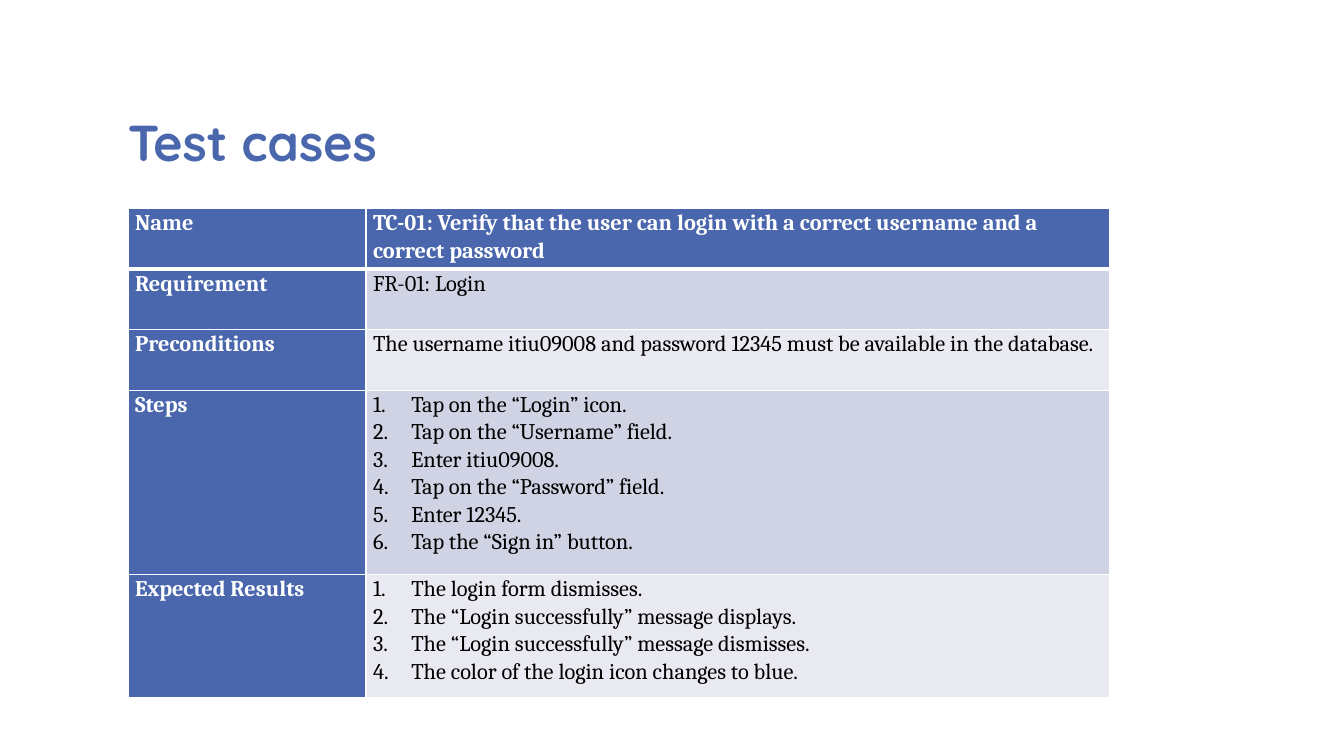
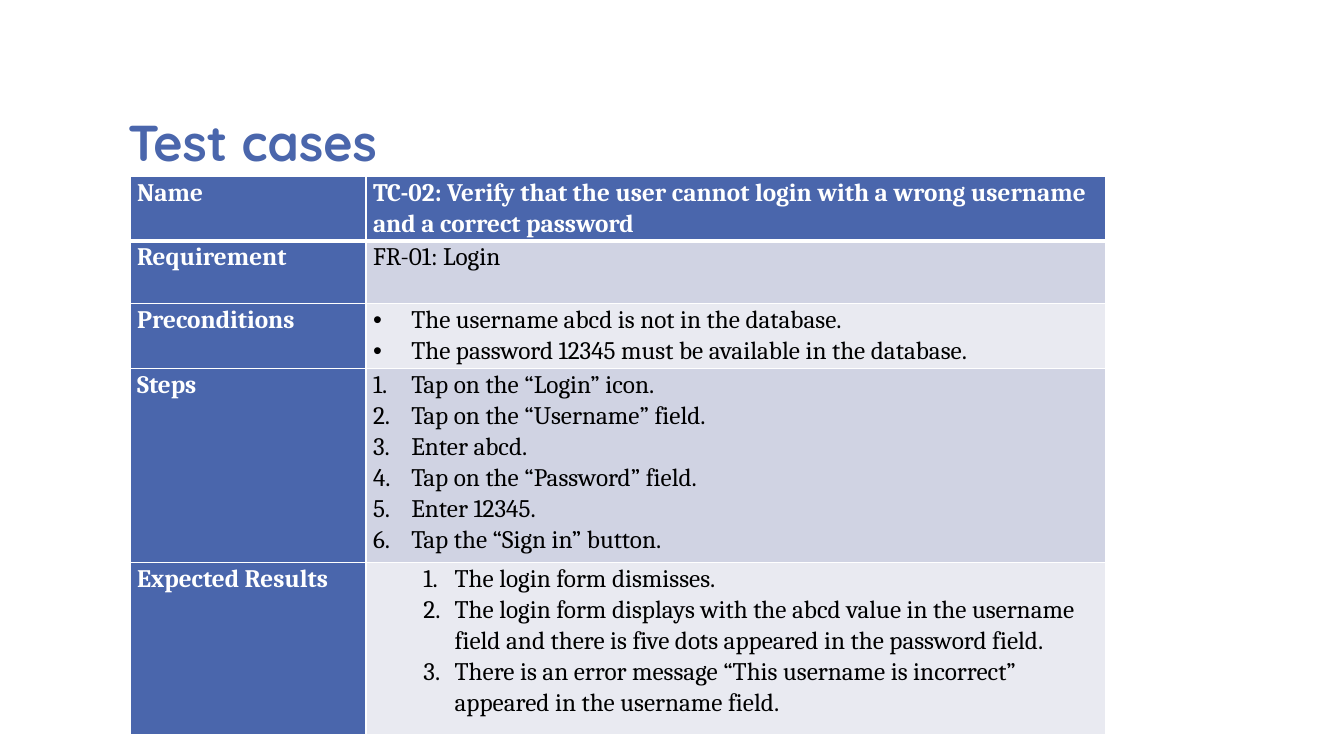
from dataclasses import dataclass

from lxml.etree import SubElement
from pptx import Presentation
from pptx.dml.color import RGBColor as RGB
from pptx.enum.text import MSO_ANCHOR as Anchor
from pptx.oxml.ns import qn
from pptx.util import Inches, Pt


@dataclass(frozen=True)
class Theme:
    accent: str = "4A66AC"
    white: str = "FFFFFF"
    ink: str = "000000"
    bands: tuple = ("E9EAF1", "D0D3E3")
    title_font: str = "Quicksand"
    body_font: str = "Cambria"
    title_size: int = 36
    title_spacing: float = 0.8
    body_spacing: float = 1.07
    rule: int = 1
    header_rule: int = 3


@dataclass(frozen=True)
class ListStyle:
    """Bullet character (None numbers the items), text indent and hang in inches."""
    bullet: str | None = None
    indent: float = 0.38
    hang: float = 0.38


NUMBERED = ListStyle()
BULLETED = ListStyle(bullet="•")
INDENTED = ListStyle(indent=0.81, hang=0.31)


class Deck:
    def __init__(self, theme):
        self.theme = theme
        self.prs = Presentation()
        self.prs.slide_width, self.prs.slide_height = Inches(13.33), Inches(7.5)
        self.slide = None

    def add_slide(self, title):
        self.slide = self.prs.slides.add_slide(self.prs.slide_layouts[6])
        box = self.slide.shapes.add_textbox(
            Inches(1.17), Inches(0.58), Inches(9.5), Inches(1.17))
        frame = box.text_frame
        frame.word_wrap = True
        frame.vertical_anchor = Anchor.BOTTOM
        frame.text = title
        heading = frame.paragraphs[0]
        heading.line_spacing = self.theme.title_spacing
        self.style(heading, self.theme.title_font, self.theme.title_size,
                   self.theme.accent, True)

    def style(self, paragraph, name, size, color, bold):
        for run in paragraph.runs:
            font = run.font
            font.name, font.size, font.bold = name, Pt(size), bold
            font.color.rgb = RGB.from_string(color)

    def make_list_item(self, paragraph, style):
        props = paragraph._p.get_or_add_pPr()
        props.set("marL", str(Inches(style.indent)))
        props.set("indent", str(-Inches(style.hang)))
        if style.bullet:
            SubElement(props, qn("a:buFont"), typeface="Arial")
            SubElement(props, qn("a:buChar"), char=style.bullet)
        else:
            SubElement(props, qn("a:buFont"), typeface="+mj-lt")
            SubElement(props, qn("a:buAutoNum"), type="arabicPeriod")

    def border_cell(self, cell, top, bottom):
        """Draw the four cell borders; top and bottom are widths in points."""
        props = cell._tc.get_or_add_tcPr()
        rule = self.theme.rule
        for side, width in (("L", rule), ("R", rule), ("T", top), ("B", bottom)):
            line = SubElement(props, qn(f"a:ln{side}"), w=str(Pt(width)))
            fill = SubElement(line, qn("a:solidFill"))
            SubElement(fill, qn("a:srgbClr"), val=self.theme.white)

    def fill_cell(self, cell, lines, size, row, is_label, list_style):
        theme = self.theme
        strong = is_label or row == 0
        self.border_cell(cell,
                         theme.header_rule if row == 1 else theme.rule,
                         theme.header_rule if row == 0 else theme.rule)
        cell.fill.solid()
        cell.fill.fore_color.rgb = RGB.from_string(
            theme.accent if strong else theme.bands[row % 2])
        cell.margin_left = cell.margin_right = Inches(0.07)
        cell.margin_top = cell.margin_bottom = 0
        cell.text_frame.text = "\n".join(lines)
        for paragraph in cell.text_frame.paragraphs:
            paragraph.line_spacing = theme.body_spacing
            self.style(paragraph, theme.body_font, size,
                       theme.white if strong else theme.ink, strong)
            if list_style:
                self.make_list_item(paragraph, list_style)

    def add_test_case(self, left, top, widths, heights, size, fields):
        """Add a table of (label, lines, list style) fields."""
        table = self.slide.shapes.add_table(
            len(fields), len(widths), Inches(left), Inches(top),
            Inches(sum(widths)), Inches(sum(heights))).table
        for column, width in zip(table.columns, widths):
            column.width = Inches(width)
        for row, (label, lines, list_style) in enumerate(fields):
            table.rows[row].height = Inches(heights[row])
            self.fill_cell(table.cell(row, 0), [label], size, row, True, None)
            self.fill_cell(table.cell(row, 1), lines, size, row, False, list_style)


def login_steps(username):
    return ["Tap on the “Login” icon.",
            "Tap on the “Username” field.",
            f"Enter {username}.",
            "Tap on the “Password” field.",
            "Enter 12345.",
            "Tap the “Sign in” button."]


def test_case_fields(name, preconditions, precondition_style, username,
                     results, result_style):
    return [("Name", [name], None),
            ("Requirement", ["FR-01: Login"], None),
            ("Preconditions", preconditions, precondition_style),
            ("Steps", login_steps(username), NUMBERED),
            ("Expected Results", results, result_style)]


def main():
    deck = Deck(Theme())

    deck.add_slide("Test cases")
    deck.add_test_case(
        1.27, 2.07, (2.36, 7.38), (0.6, 0.6, 0.6, 1.83, 1.22), 16,
        test_case_fields(
            "TC-01: Verify that the user can login with a correct username "
            "and a correct password",
            ["The username itiu09008 and password 12345 must be available "
             "in the database."], None,
            "itiu09008",
            ["The login form dismisses.",
             "The “Login successfully” message displays.",
             "The “Login successfully” message dismisses.",
             "The color of the login icon changes to blue."], NUMBERED))

    deck.add_slide("Test cases")
    deck.add_test_case(
        1.29, 1.75, (2.34, 7.34), (0.62, 0.62, 0.62, 1.85, 1.71), 18,
        test_case_fields(
            "TC-02: Verify that the user cannot login with a wrong username "
            "and a correct password",
            ["The username abcd is not in the database.",
             "The password 12345 must be available in the database."], BULLETED,
            "abcd",
            ["The login form dismisses.",
             "The login form displays with the abcd value in the username "
             "field and there is five dots appeared in the password field.",
             "There is an error message “This username is incorrect” "
             "appeared in the username field."], INDENTED))

    deck.prs.save("out.pptx")


if __name__ == "__main__":
    main()
